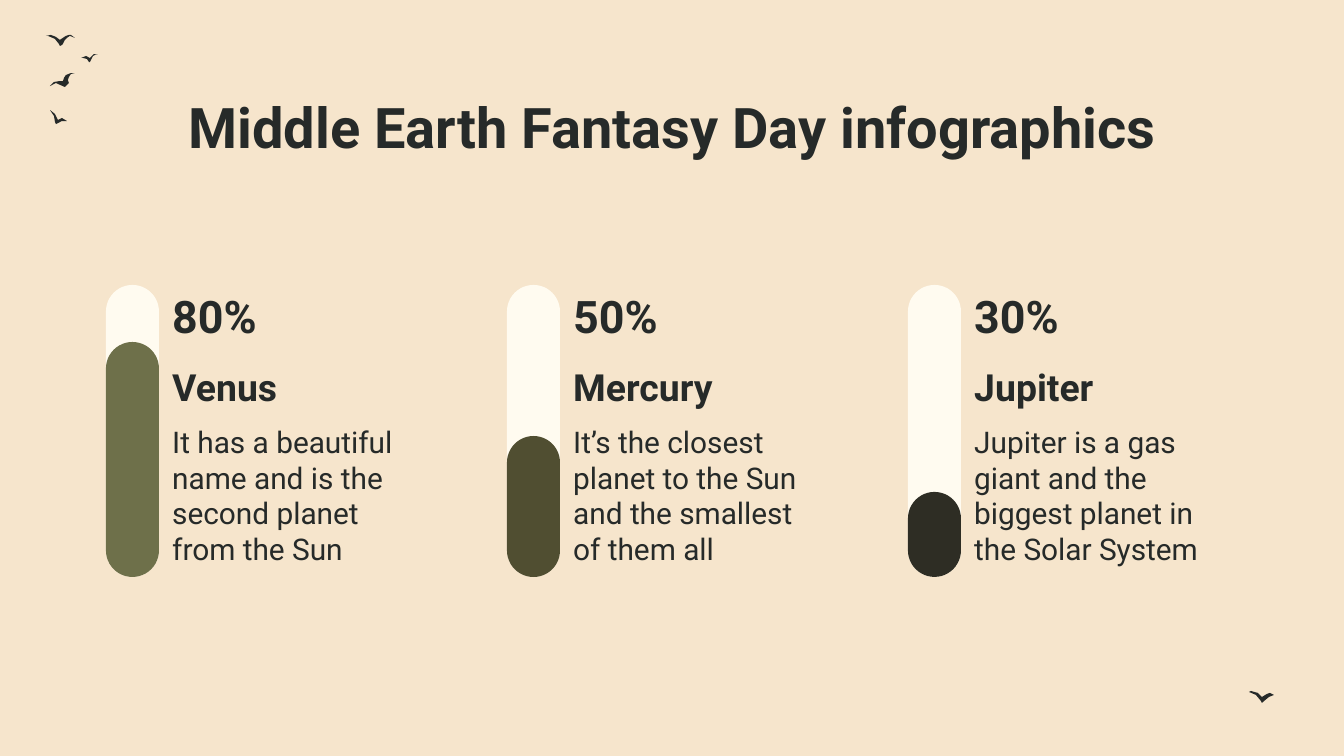
import pptx
import pptx.dml.color
import pptx.enum.shapes
import pptx.enum.text
import pptx.util

SCALE = 9144000 / 1344  # EMU per px
INK, PAPER, TRACK = "262A29", "F6E5CC", "FFFBF0"
ANCHOR = pptx.enum.text.MSO_ANCHOR
ALIGN = pptx.enum.text.PP_ALIGN

TITLE = "Middle Earth Fantasy Day infographics"
PLANETS = [  # share, name, description, level height, level colour
    ("80%", "Venus", "It has a beautiful name and is the second planet from the Sun",
     235, "6E704A"),
    ("50%", "Mercury", "It’s the closest planet to the Sun and the smallest of them all",
     141, "504E31"),
    ("30%", "Jupiter", "Jupiter is a gas giant and the biggest planet in the Solar System",
     85, "2E2D24"),
]
BIRDS = [
    [(69, 35), (66, 36), (60, 40), (56, 37), (51, 35), (46, 36), (48, 36), (55, 39),
     (59, 44), (60, 46), (62, 45), (63, 44), (65, 40), (67, 38), (70, 36), (75, 38),
     (71, 35)],
    [(71, 73), (66, 75), (64, 78), (63, 81), (60, 81), (54, 82), (50, 86), (56, 83),
     (65, 87), (66, 86), (69, 83), (68, 80), (69, 77), (71, 74), (75, 74)],
    [(50, 110), (54, 116), (55, 122), (56, 124), (62, 121), (67, 121), (62, 118),
     (58, 120), (55, 114)],
    [(94, 54), (93, 55), (90, 58), (86, 56), (81, 58), (83, 58), (87, 59), (89, 62),
     (90, 62), (91, 60), (93, 56), (95, 55), (98, 55)],
    [(1251, 691), (1249, 692), (1256, 695), (1261, 701), (1262, 703), (1263, 702),
     (1269, 697), (1274, 695), (1270, 693), (1267, 694), (1262, 697), (1258, 693)],
]

LEFT, PITCH = 106, 401
BAR_TOP, BAR_WIDTH, BAR_HEIGHT = 285, 53, 292
TEXT_WIDTH = 277
TEXT_ROWS = [  # top, height, size, bold, anchor
    (289, 67, 24, True, ANCHOR.BOTTOM),
    (355, 67, 20, True, ANCHOR.BOTTOM),
    (410, 163, 16, False, ANCHOR.TOP),
]


def px(*lengths):
    return [pptx.util.Emu(round(length * SCALE)) for length in lengths]


def paint(fill, color):
    fill.solid()
    fill.fore_color.rgb = pptx.dml.color.RGBColor.from_string(color)


def flat(shape, color):
    """Leave only a plain fill on the shape."""
    shape.shadow.inherit = False
    paint(shape.fill, color)
    shape.line.fill.background()


def add_text(slide, text, box, size, bold, anchor, align=ALIGN.LEFT):
    frame = slide.shapes.add_textbox(*px(*box)).text_frame
    inset = pptx.util.Inches(0.1)
    frame_format = {"word_wrap": True, "vertical_anchor": anchor,
                    "margin_left": inset, "margin_right": inset,
                    "margin_top": inset, "margin_bottom": inset}
    for attribute, value in frame_format.items():
        setattr(frame, attribute, value)
    paragraph = frame.paragraphs[0]
    paragraph.alignment = align
    run = paragraph.add_run()
    run.text = text
    font_format = {"name": "Roboto", "size": pptx.util.Pt(size), "bold": bold}
    for attribute, value in font_format.items():
        setattr(run.font, attribute, value)
    paint(run.font.fill, INK)


def add_bar(slide, left, height, color):
    """Add a pill that stands on the common base line."""
    bar = slide.shapes.add_shape(
        pptx.enum.shapes.MSO_SHAPE.ROUNDED_RECTANGLE,
        *px(left, BAR_TOP + BAR_HEIGHT - height, BAR_WIDTH, height))
    bar.adjustments[0] = 0.5
    flat(bar, color)


def add_bird(slide, outline):
    builder = slide.shapes.build_freeform(*outline[0], scale=SCALE)
    builder.add_line_segments(outline[1:], close=True)
    flat(builder.convert_to_shape(), INK)


def main():
    deck = pptx.Presentation()
    deck.slide_width, deck.slide_height = px(1344, 756)
    slide = deck.slides.add_slide(deck.slide_layouts[6])
    paint(slide.background.fill, PAPER)

    for outline in BIRDS:
        add_bird(slide, outline)
    add_text(slide, TITLE, (LEFT, 79, 1133, 85), 30, True, ANCHOR.TOP, ALIGN.CENTER)
    for column, (share, name, description, level, color) in enumerate(PLANETS):
        left = LEFT + column * PITCH
        for text, (top, height, *style) in zip((share, name, description), TEXT_ROWS):
            add_text(slide, text, (left + BAR_WIDTH, top, TEXT_WIDTH, height), *style)
        add_bar(slide, left, BAR_HEIGHT, TRACK)
        add_bar(slide, left, level, color)

    deck.save("out.pptx")


if __name__ == "__main__":
    main()
